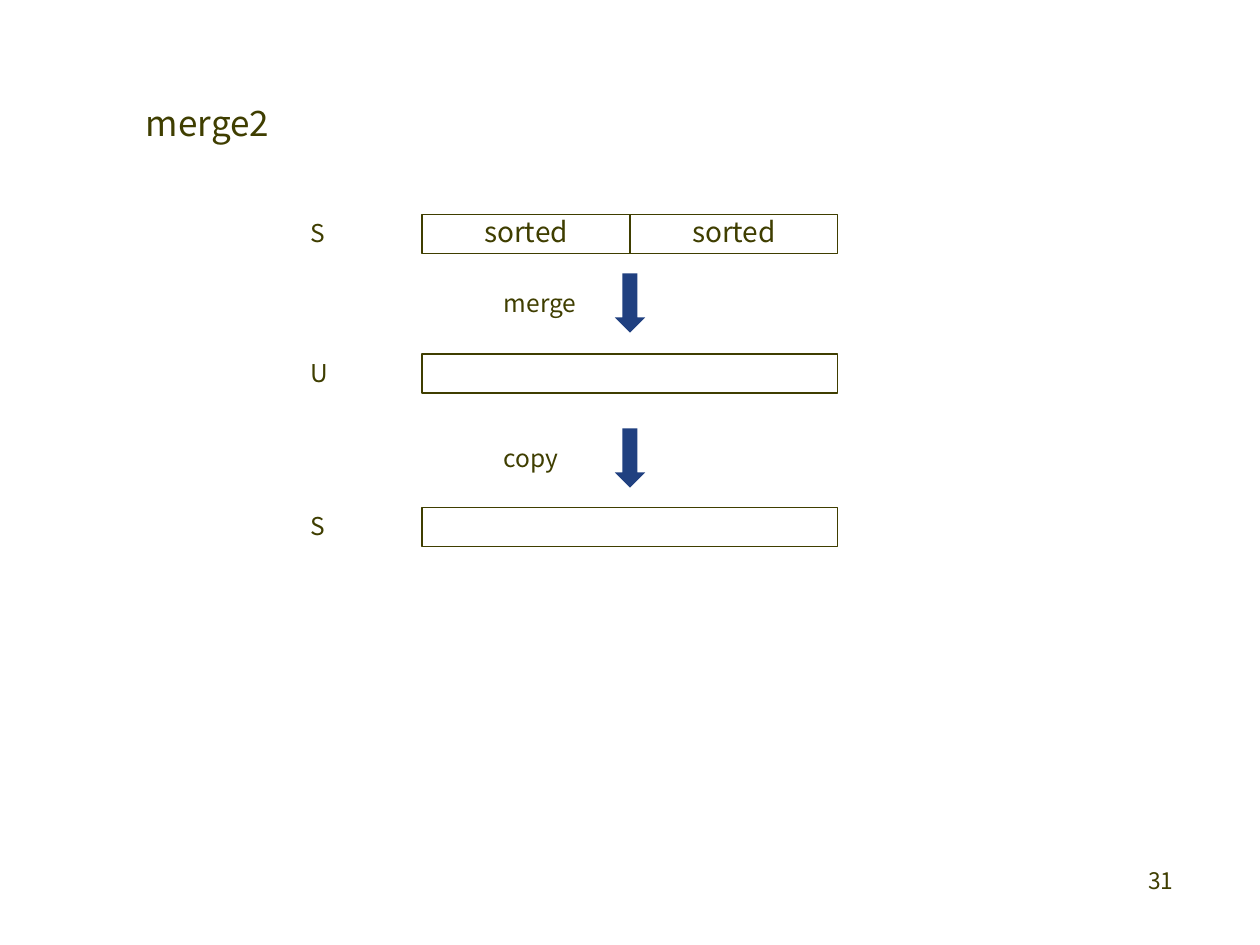
from pptx import Presentation
from pptx.dml.color import RGBColor
from pptx.enum.shapes import MSO_SHAPE as SHAPE
from pptx.enum.text import MSO_ANCHOR as ANCHOR, PP_ALIGN as ALIGN
from pptx.util import Inches, Pt

FONT, INK, BLUE = "Noto Sans CJK KR", "3F3E00", "204080"

TITLE, PAGE = "merge2", "31"
# name, top of the array, texts of its equal parts
ARRAYS = [("S", 1.7, ["sorted", "sorted"]), ("U", 2.81, [""]), ("S", 4.03, [""])]
# operation, top of its arrow
STEPS = [("merge", 2.17), ("copy", 3.4)]

ARRAY_LEFT, ARRAY_W, ARRAY_H = 3.35, 3.3, 0.31
ARROW_W, ARROW_H = 0.24, 0.47
LABEL_H = 0.34


def rgb(color):
    return RGBColor.from_string(color)


def write(tf, text, size=14, align=ALIGN.LEFT, spacing=None):
    p = tf.paragraphs[0]
    p.alignment = align
    p.line_spacing = spacing
    r = p.add_run()
    r.text = text
    r.font.size = Pt(size)
    r.font.name = FONT
    r.font.color.rgb = rgb(INK)


def add_label(slide, text, x, y, w, h=LABEL_H, wrap=False, **fmt):
    tf = slide.shapes.add_textbox(*map(Inches, (x, y, w, h))).text_frame
    tf.word_wrap = wrap
    write(tf, text, **fmt)


def add_shape(slide, kind, x, y, w, h, fill=None, line=None):
    s = slide.shapes.add_shape(kind, *map(Inches, (x, y, w, h)))
    s.shadow.inherit = False
    if fill:
        s.fill.solid()
        s.fill.fore_color.rgb = rgb(fill)
    else:
        s.fill.background()
    if line:
        s.line.color.rgb = rgb(line)
        s.line.width = Pt(0.75)
    else:
        s.line.fill.background()
    return s


def add_array(slide, name, top, parts):
    add_label(slide, name, 2.37, top - 0.02, 0.33)
    w = ARRAY_W / len(parts)
    for i, text in enumerate(parts):
        s = add_shape(slide, SHAPE.RECTANGLE, ARRAY_LEFT + i * w, top, w, ARRAY_H, line=INK)
        if text:
            s.text_frame.vertical_anchor = ANCHOR.MIDDLE
            write(s.text_frame, text, size=16, align=ALIGN.CENTER, spacing=0.9)


def add_step(slide, name, top):
    x = ARRAY_LEFT + (ARRAY_W - ARROW_W) / 2
    add_shape(slide, SHAPE.DOWN_ARROW, x, top, ARROW_W, ARROW_H, fill=BLUE)
    add_label(slide, name, 3.9, top + (ARROW_H - LABEL_H) / 2, 0.78)


def main():
    prs = Presentation()
    prs.slide_width, prs.slide_height = Inches(10), Inches(7.5)
    slide = prs.slides.add_slide(prs.slide_layouts[6])
    add_label(slide, TITLE, 1.06, 0.76, 1.19, 0.44, size=20)
    for array in ARRAYS:
        add_array(slide, *array)
    for step in STEPS:
        add_step(slide, *step)
    add_label(slide, PAGE, 7.33, 6.83, 2.08, 0.5, wrap=True, size=13, align=ALIGN.RIGHT)
    prs.save("out.pptx")


if __name__ == "__main__":
    main()
